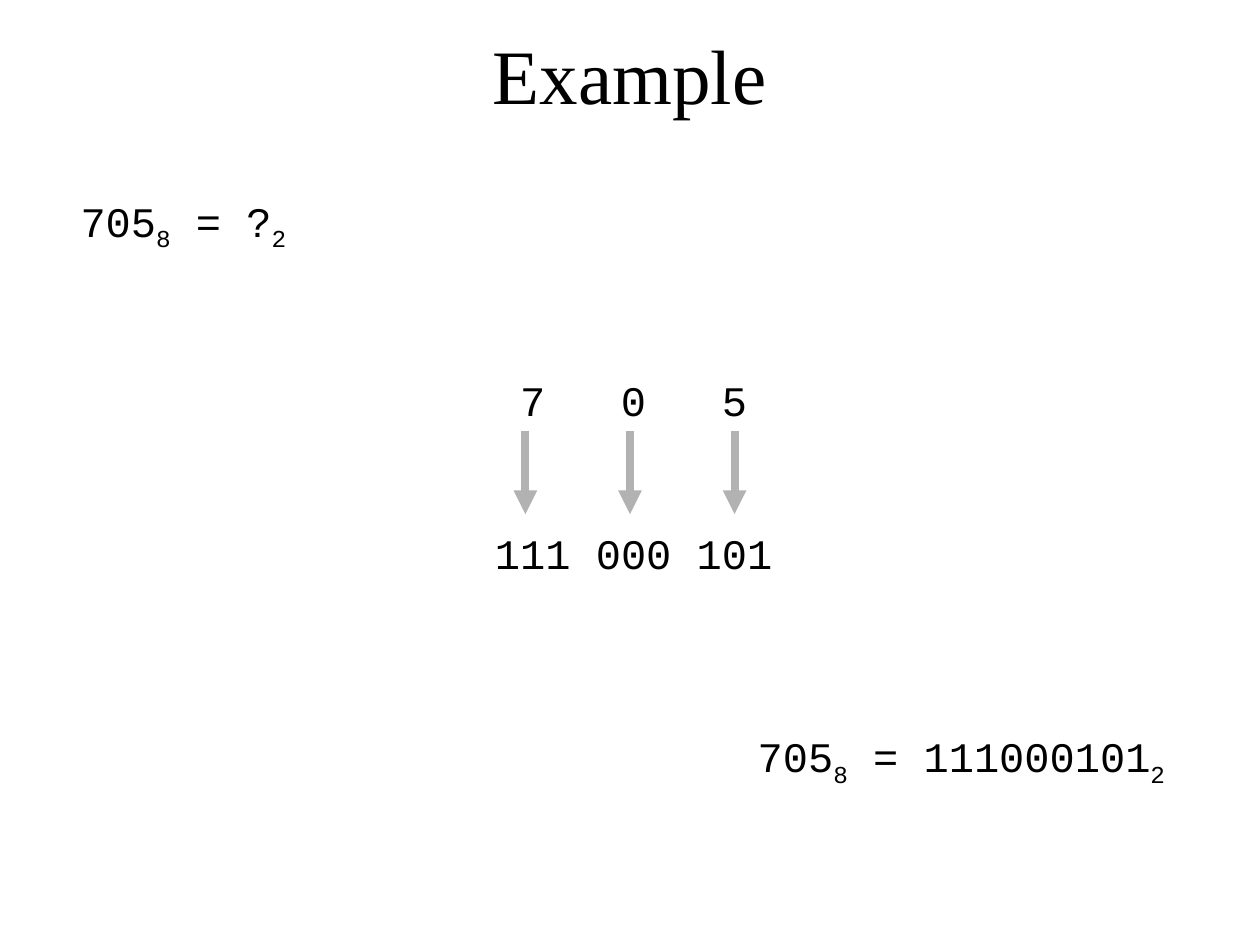
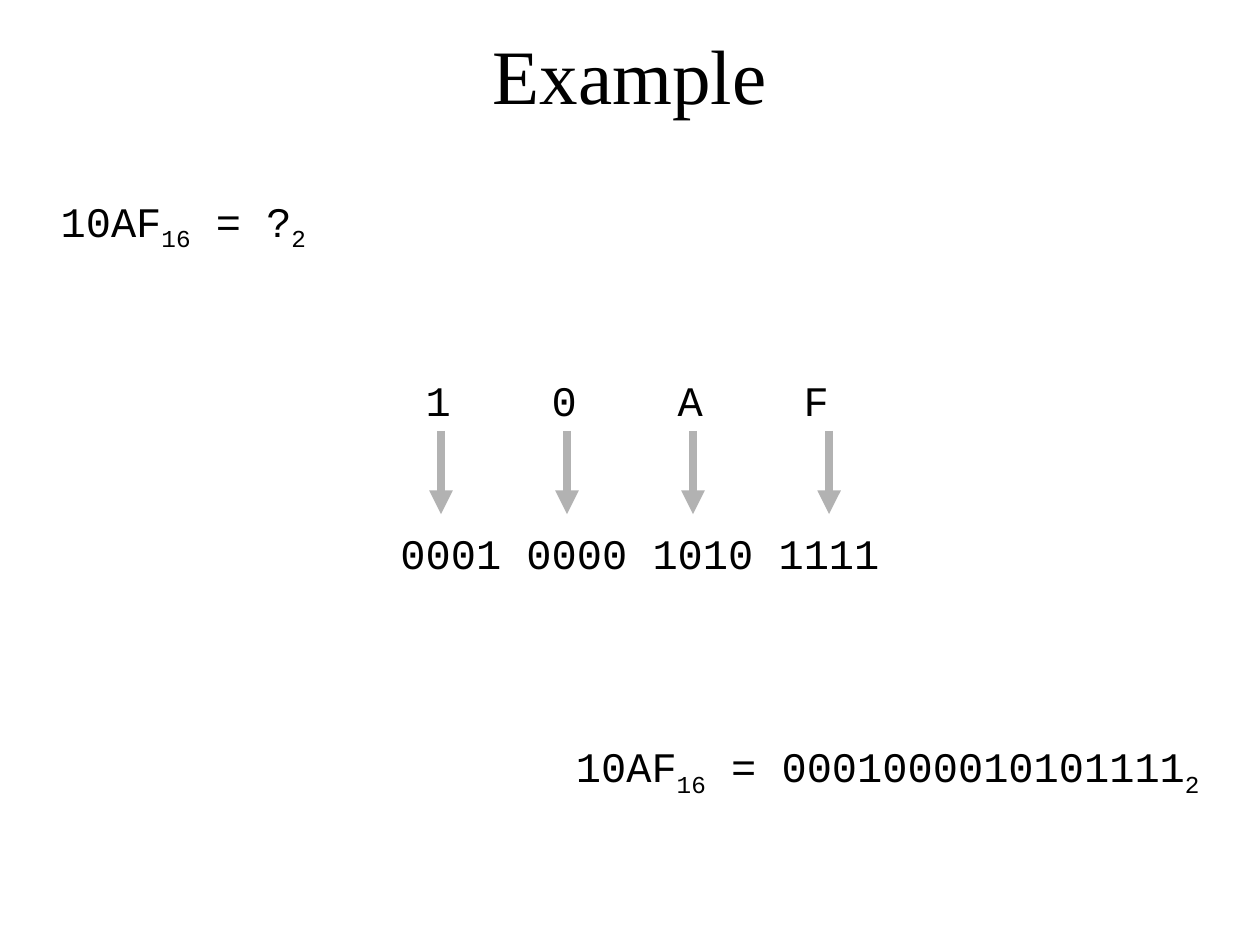
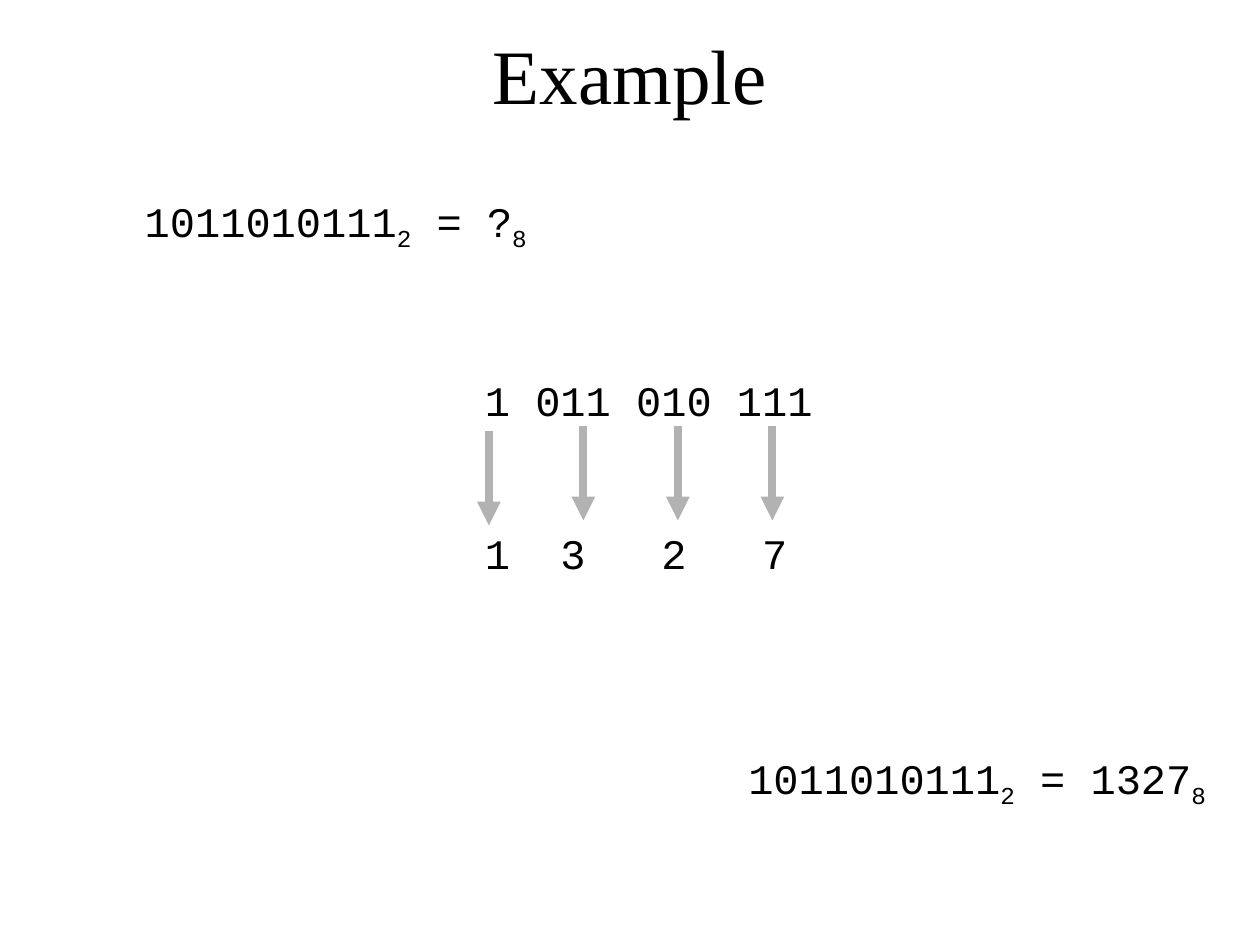
from pptx import Presentation
from pptx.dml.color import RGBColor
from pptx.enum.shapes import MSO_CONNECTOR
from pptx.enum.text import MSO_ANCHOR, PP_ALIGN
from pptx.oxml.ns import qn
from pptx.util import Inches, Pt
from lxml.etree import SubElement

INK, ARROW = "000000", "B2B2B2"
TITLE_FONT, CODE_FONT = "Times New Roman", "Courier New"
CHAR_WIDTH = 0.2   # advance of one 24 pt Courier New character
ROW_GAP = 59       # points between the two digit rows

# Boxes are left, top, width, height. In an equation every second part is a
# subscript. A row is (words, columns): the columns count characters.
# Arrows are (x, y, length) from the corner of the conversion box.
EXAMPLES = [
    dict(
        question=(("705", "8", " = ?", "2"), (0.33, 1.5, 2.25, 0.56)),
        box=(3.83, 2.92, 2.92, 1.72),
        rows=[("705", (1, 5, 9)), (("111 000 101",), (0,))],
        arrows=[(0.34 + 0.83 * i, 0.5, 0.66) for i in range(3)],
        answer=(("705", "8", " = 111000101", "2"), (5.67, 5.75, 3.92, 0.56)),
    ),
    dict(
        question=(("10AF", "16", " = ?", "2"), (0.33, 1.5, 2.25, 0.56)),
        box=(3.08, 2.92, 4.17, 1.72),
        rows=[("10AF", (1, 6, 11, 16)), (("0001 0000 1010 1111",), (0,))],
        arrows=[(x, 0.5, 0.66) for x in (0.42, 1.42, 2.42, 3.5)],
        answer=(("10AF", "16", " = 0001000010101111", "2"),
                (4.42, 5.83, 5.25, 0.56)),
    ),
    dict(
        question=(("1011010111", "2", " = ?", "8"), (0.33, 1.5, 4.67, 0.56)),
        box=(3.75, 2.92, 4.67, 1.77),
        rows=[(("1 011 010 111",), (0,)), ("1327", (0, 3, 7, 11))],
        arrows=[(0.13, 0.5, 0.75)]
               + [(0.13 + 0.75 * i, 0.46, 0.75) for i in (1, 2, 3)],
        answer=(("1011010111", "2", " = 1327", "8"), (5, 5.92, 4.67, 0.56)),
        answer_align=PP_ALIGN.RIGHT,
    ),
]


def color(value):
    return RGBColor.from_string(value)


def add_box(shapes, box, anchor=MSO_ANCHOR.TOP):
    frame = shapes.add_textbox(*map(Inches, box)).text_frame
    frame.word_wrap = True
    frame.vertical_anchor = anchor
    return frame


def add_text(para, text, size=24, font=CODE_FONT, ink=INK, subscript=False):
    span = para.add_run()
    span.text = text
    span.font.size = Pt(size)
    span.font.name = font
    span.font.color.rgb = color(ink)
    if subscript:
        span._r.get_or_add_rPr().set("baseline", "-25000")


def add_title(page, text):
    frame = add_box(page.shapes, (0.75, 0.17, 8.5, 0.83), MSO_ANCHOR.MIDDLE)
    para = frame.paragraphs[0]
    para.alignment = PP_ALIGN.CENTER
    add_text(para, text, size=44, font=TITLE_FONT)


def add_equation(page, parts, box, align=PP_ALIGN.CENTER):
    para = add_box(page.shapes, box).paragraphs[0]
    para.alignment = align
    for index, part in enumerate(parts):
        add_text(para, part, subscript=index % 2 == 1)


def add_row(para, words, columns):
    """Place each word at its character column with a tab stop."""
    stops = [column for column in columns if column]
    if stops:
        tabs = SubElement(para._p.get_or_add_pPr(), qn("a:tabLst"))
        for column in stops:
            SubElement(tabs, qn("a:tab"), pos=str(Inches(column * CHAR_WIDTH)),
                       algn="l")
    add_text(para, "".join(("\t" if column else "") + word
                           for word, column in zip(words, columns)))


def add_arrow(shapes, x, y, length):
    arrow = shapes.add_connector(MSO_CONNECTOR.STRAIGHT, Inches(x), Inches(y),
                                 Inches(x), Inches(y + length))
    arrow.line.color.rgb = color(ARROW)
    arrow.line.width = Pt(4.5)
    SubElement(arrow.line._get_or_add_ln(), qn("a:tailEnd"), type="triangle")
    SubElement(arrow._element.spPr, qn("a:effectLst"))


def add_conversion(page, box, rows, arrows):
    """Group two rows of digits with the arrows that join them."""
    shapes = page.shapes.add_group_shape().shapes
    frame = add_box(shapes, box)
    upper, lower = frame.paragraphs[0], frame.add_paragraph()
    for para, (words, columns) in zip((upper, lower), rows):
        add_row(para, words, columns)
    lower.space_before = Pt(ROW_GAP)
    left, top = box[:2]
    for x, y, length in arrows:
        add_arrow(shapes, left + x, top + y, length)


def add_example(deck, question, box, rows, arrows, answer,
                answer_align=PP_ALIGN.CENTER):
    page = deck.slides.add_slide(deck.slide_layouts[6])
    add_title(page, "Example")
    add_equation(page, *question)
    add_conversion(page, box, rows, arrows)
    add_equation(page, *answer, align=answer_align)


def main():
    deck = Presentation()
    deck.slide_width, deck.slide_height = Inches(10), Inches(7.5)
    for example in EXAMPLES:
        add_example(deck, **example)
    deck.save("out.pptx")


if __name__ == "__main__":
    main()
